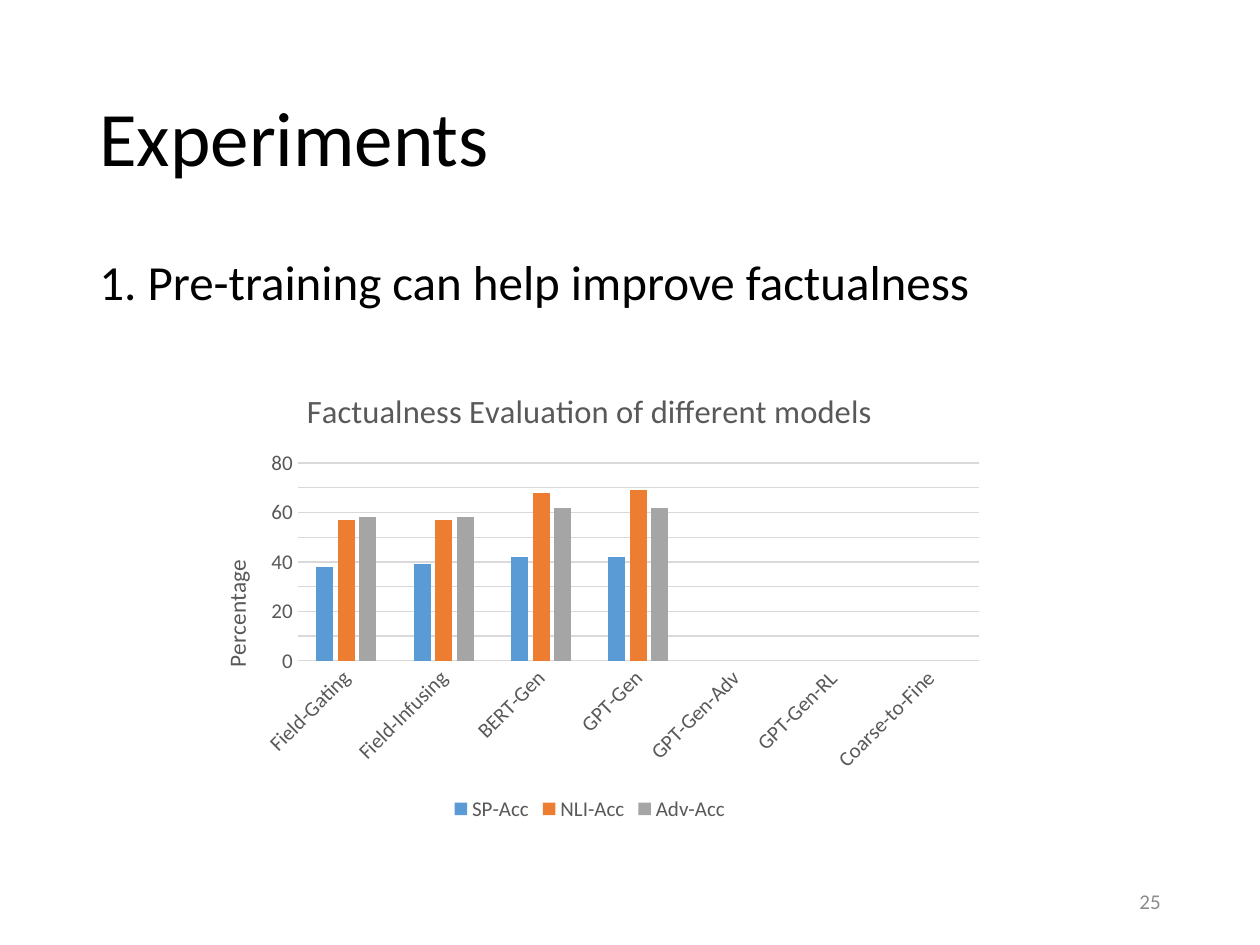
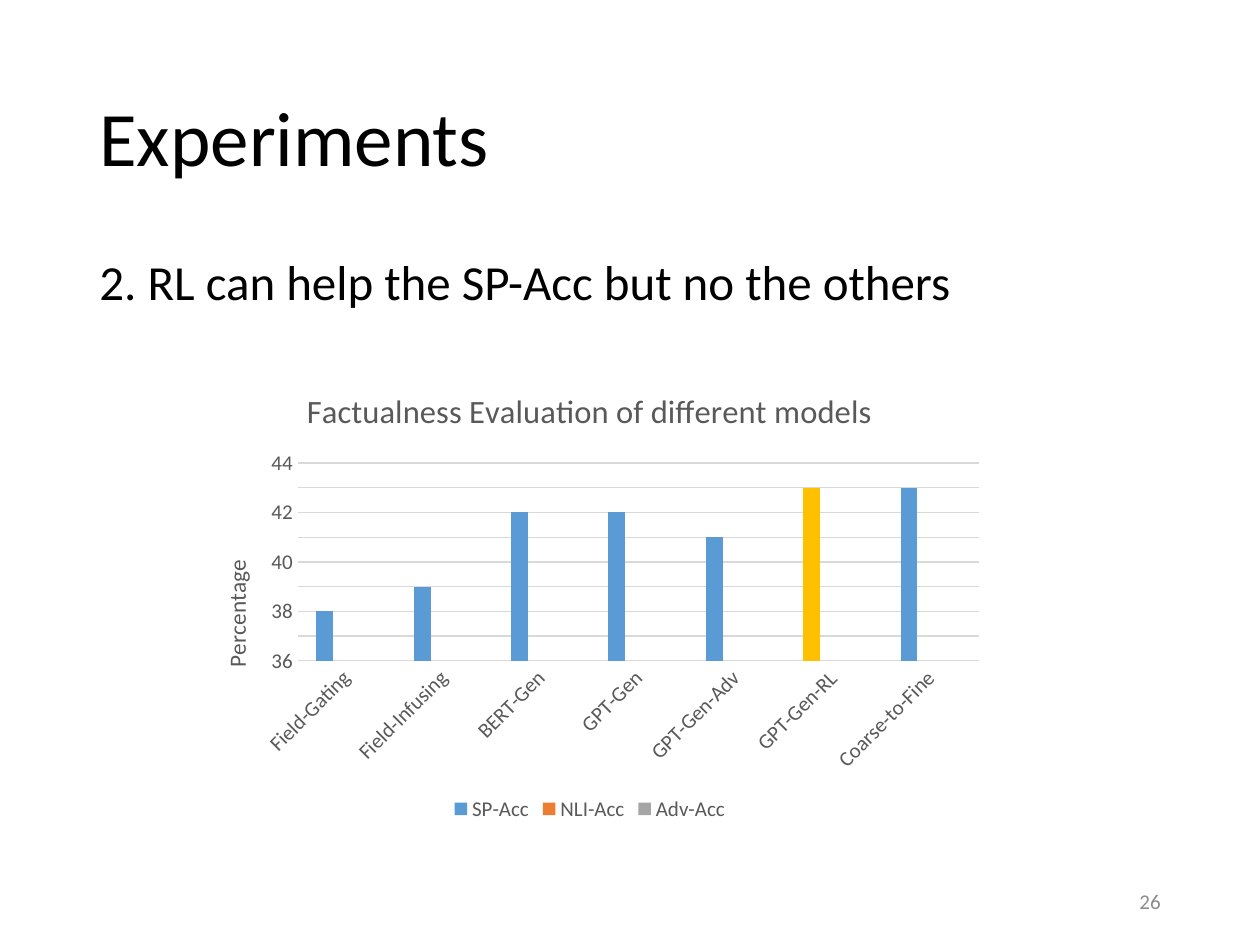
from dataclasses import dataclass

from lxml import etree
from pptx import Presentation
from pptx import util as u
from pptx.chart.data import CategoryChartData
from pptx.dml.color import RGBColor
from pptx.enum import chart as ch, text
from pptx.oxml.ns import qn


@dataclass(frozen=True)
class Theme:
    font: str = "Calibri"
    ink: str = "000000"
    number: str = "8C8C8C"
    label: str = "595959"
    rule: str = "D9D9D9"
    highlight: str = "FFC000"
    series: tuple = ("5B9BD5", "ED7D31", "A5A5A5")
    title_pt: float = 44
    body_pt: float = 28
    small_pt: float = 12
    chart_title_pt: float = 18.6
    axis_title_pt: float = 13.3


MODELS = ["Field-Gating", "Field-Infusing", "BERT-Gen", "GPT-Gen",
          "GPT-Gen-Adv", "GPT-Gen-RL", "Coarse-to-Fine"]
METRICS = ["SP-Acc", "NLI-Acc", "Adv-Acc"]
MARGIN, WIDTH = u.Cm(1.75), u.Cm(21.9)


def set_layout(parent, index, inner=False, **fractions):
    """Place a chart part by fractions of the chart's size."""
    for old in parent.findall(qn("c:layout")):
        parent.remove(old)
    layout = etree.Element(qn("c:layout"))
    manual = etree.SubElement(layout, qn("c:manualLayout"))
    if inner:
        etree.SubElement(manual, qn("c:layoutTarget"), val="inner")
    for mode in ("xMode", "yMode"):
        etree.SubElement(manual, qn(f"c:{mode}"), val="edge")
    for key, value in fractions.items():
        etree.SubElement(manual, qn(f"c:{key}"), val=str(value))
    parent.insert(index, layout)


class Deck:
    def __init__(self, theme):
        self.theme = theme
        self.prs = Presentation()
        self.prs.slide_width, self.prs.slide_height = u.Cm(25.4), u.Cm(19.05)
        self.slide = None

    def new_slide(self):
        self.slide = self.prs.slides.add_slide(self.prs.slide_layouts[1])

    def style(self, font, size, color):
        font.name, font.size, font.bold = self.theme.font, u.Pt(size), False
        font.color.rgb = RGBColor.from_string(color)

    def set_text(self, sp, words, size, color, anchor,
                 align=text.PP_ALIGN.LEFT):
        tf = sp.text_frame
        tf.word_wrap = True
        tf.auto_size = text.MSO_AUTO_SIZE.NONE
        tf.vertical_anchor = anchor
        tf.text = words
        p = tf.paragraphs[0]
        p.alignment = align
        self.style(p.font, size, color)
        return p

    def place(self, sp, left, top, width, height):
        sp.left, sp.top, sp.width, sp.height = left, top, width, height

    def title(self, words):
        sp = self.slide.shapes.title
        self.place(sp, MARGIN, u.Cm(1.02), WIDTH, u.Cm(3.68))
        p = self.set_text(sp, words, self.theme.title_pt, self.theme.ink,
                          text.MSO_ANCHOR.MIDDLE)
        p.line_spacing = 0.9

    def body(self, words):
        sp = self.slide.placeholders[1]
        self.place(sp, MARGIN, u.Cm(5.08), WIDTH, u.Cm(12.09))
        p = self.set_text(sp, words, self.theme.body_pt, self.theme.ink,
                          text.MSO_ANCHOR.TOP)
        p.line_spacing, p.space_before = 0.9, u.Pt(10)
        props = p._p.get_or_add_pPr()
        props.set("marL", "0")
        props.set("indent", "0")
        # The bullet setting belongs after spacing and before run defaults
        bullet = etree.Element(qn("a:buNone"))
        props.find(qn("a:defRPr")).addprevious(bullet)

    def page_number(self, number):
        sp = self.slide.shapes.add_textbox(u.Cm(17.93), u.Cm(17.65),
                                           u.Cm(5.72), u.Cm(1.02))
        self.set_text(sp, str(number), self.theme.small_pt, self.theme.number,
                      text.MSO_ANCHOR.MIDDLE, text.PP_ALIGN.RIGHT)

    def rule(self, line):
        line.color.rgb = RGBColor.from_string(self.theme.rule)
        line.width = u.Pt(0.75)

    def column_chart(self, columns, scale, highlight):
        t = self.theme
        data = CategoryChartData()
        data.categories = MODELS
        for metric, values in zip(METRICS, columns):
            data.add_series(metric, values)
        chart = self.slide.shapes.add_chart(
            ch.XL_CHART_TYPE.COLUMN_CLUSTERED, u.Cm(3.71), u.Cm(7.39),
            u.Cm(16.36), u.Cm(9.27), data).chart
        self.style(chart.font, 10, t.ink)

        # Title and legend
        chart.has_title = True
        tf = chart.chart_title.text_frame
        tf.text = "Factualness Evaluation of different models"
        self.style(tf.paragraphs[0].font, t.chart_title_pt, t.label)
        chart.has_legend = True
        chart.legend.position = ch.XL_LEGEND_POSITION.BOTTOM
        chart.legend.include_in_layout = False
        self.style(chart.legend.font, t.small_pt, t.label)

        # Axes
        cat, val = chart.category_axis, chart.value_axis
        for axis in (cat, val):
            axis.major_tick_mark = axis.minor_tick_mark = ch.XL_TICK_MARK.NONE
            self.style(axis.tick_labels.font, t.small_pt, t.label)
        self.rule(cat.format.line)
        slant = cat._element.find(qn("c:txPr")).find(qn("a:bodyPr"))
        slant.set("rot", "-2700000")
        val.minimum_scale, val.maximum_scale, val.major_unit = scale
        val.format.line.fill.background()
        val.has_major_gridlines = True
        self.rule(val.major_gridlines.format.line)
        tf = val.axis_title.text_frame
        tf.text = "Percentage"
        self.style(tf.paragraphs[0].font, t.axis_title_pt, t.label)
        tf._txBody.find(qn("a:bodyPr")).set("rot", "-5400000")
        set_layout(val.axis_title._element, 1, x=0.04, y=0.41)

        # Columns
        plot = chart.plots[0]
        plot.gap_width, plot.overlap = 219, -27
        plot.vary_by_categories = False
        for series, color in zip(plot.series, t.series):
            series.invert_if_negative = False
            series.format.fill.solid()
            series.format.fill.fore_color.rgb = RGBColor.from_string(color)
        if highlight:
            fill = plot.series[0].points[MODELS.index(highlight)].format.fill
            fill.solid()
            fill.fore_color.rgb = RGBColor.from_string(t.highlight)
        area = chart._chartSpace.find(f".//{qn('c:plotArea')}")
        set_layout(area, 0, inner=True, x=0.14, y=0.21, w=0.84, h=0.43)


# Finding, one list of values per metric, (min, max, step), highlighted model
FINDINGS = [
    ("1. Pre-training can help improve factualness",
     [[38, 39, 42, 42] + [None] * 3,
      [57, 57, 68, 69] + [None] * 3,
      [58, 58, 62, 62] + [None] * 3],
     (0, 80, 10), None),
    ("2. RL can help the SP-Acc but no the others",
     [[38, 39, 42, 42, 41, 43, 43], [None] * 7, [None] * 7],
     (36, 44, 1), "GPT-Gen-RL"),
]


def main():
    deck = Deck(Theme())
    for number, (finding, columns, scale, highlight) in enumerate(FINDINGS, 25):
        deck.new_slide()
        deck.title("Experiments")
        deck.body(finding)
        deck.page_number(number)
        deck.column_chart(columns, scale, highlight)
    deck.prs.save("out.pptx")


if __name__ == "__main__":
    main()
